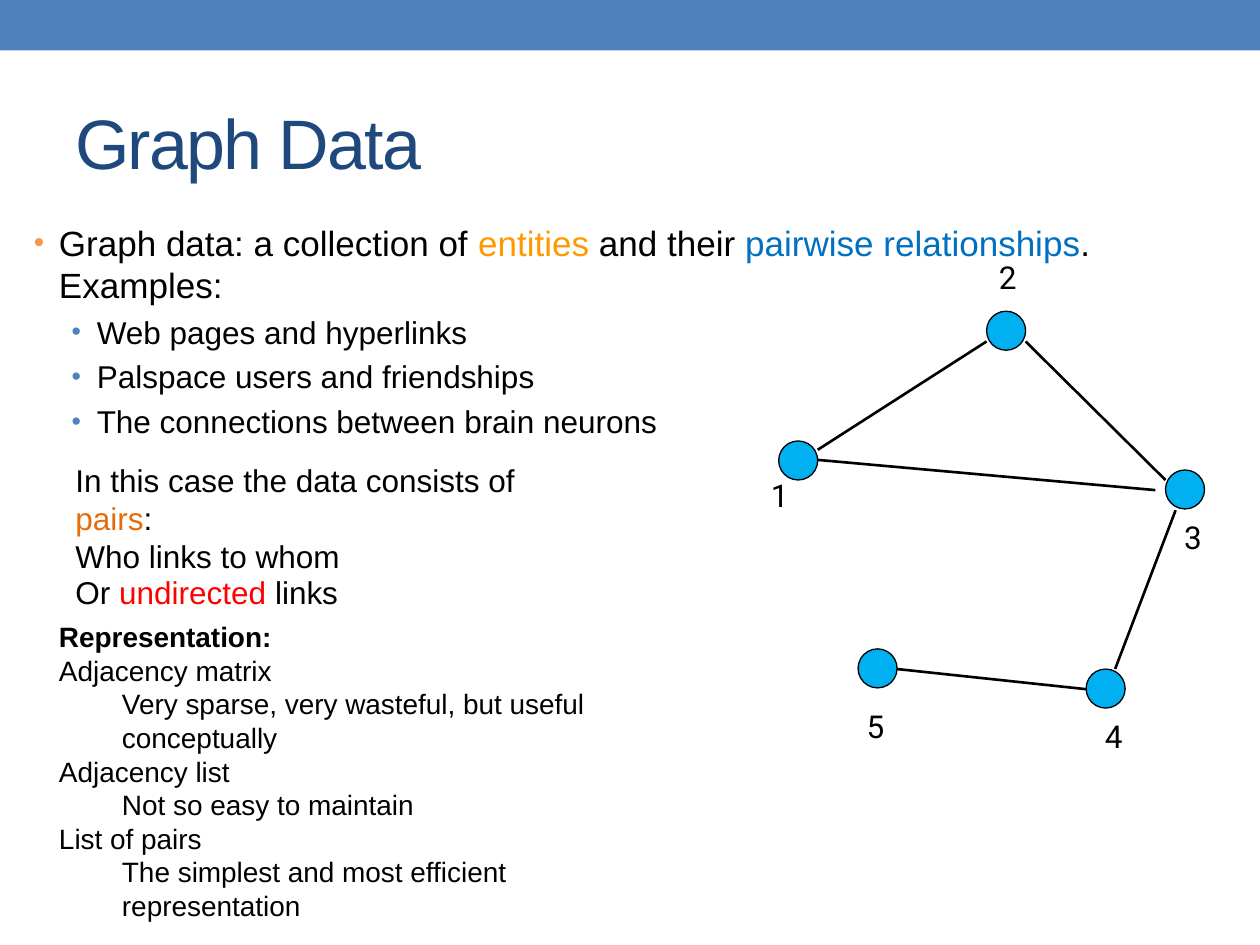
import pptx
import pptx.util
import pptx.dml.color
import pptx.enum.shapes
import pptx.enum.text
import lxml.etree

Inches = pptx.util.Inches
Pt = pptx.util.Pt
BLACK = "000000"


def color(value):
    return pptx.dml.color.RGBColor.from_string(value)


def add_text(shapes, box, wrap=True):
    frame = shapes.add_textbox(*map(Inches, box)).text_frame
    frame.word_wrap = wrap
    return frame


def write(paragraph, pieces, size, font="Arial", bold=False):
    for text, value in pieces:
        run = paragraph.add_run()
        run.text = text
        run.font.name = font
        run.font.size = Pt(size)
        run.font.bold = bold
        run.font.color.rgb = color(value)


def next_paragraph(frame, first):
    return frame.paragraphs[0] if first else frame.add_paragraph()


def set_indent(paragraph, margin, hanging=0):
    properties = paragraph._p.get_or_add_pPr()
    properties.set("marL", str(Inches(margin)))
    properties.set("indent", str(-Inches(hanging)))
    return properties


def add_bullet(paragraph, margin, value):
    properties = set_indent(paragraph, margin, 0.2)
    tag = "{http://schemas.openxmlformats.org/drawingml/2006/main}"
    bullet_color = lxml.etree.SubElement(properties, tag + "buClr")
    lxml.etree.SubElement(bullet_color, tag + "srgbClr", val=value)
    lxml.etree.SubElement(properties, tag + "buSzPct", val="85000")
    lxml.etree.SubElement(properties, tag + "buFont", typeface="Arial")
    lxml.etree.SubElement(properties, tag + "buChar", char="•")


def add_band(shapes, box):
    band = shapes.add_shape(pptx.enum.shapes.MSO_SHAPE.RECTANGLE, *map(Inches, box))
    band.shadow.inherit = False
    band.fill.solid()
    band.fill.fore_color.rgb = color("4F81BD")
    band.line.fill.background()


def add_title(shapes, box):
    frame = add_text(shapes, box)
    frame.vertical_anchor = pptx.enum.text.MSO_ANCHOR.MIDDLE
    title = frame.paragraphs[0]
    write(title, [("Graph Data", "1F497D")], 40)
    title.runs[0]._r.get_or_add_rPr().set("spc", "-100")


def add_definition(shapes, box):
    frame = add_text(shapes, box)
    definition = frame.paragraphs[0]
    add_bullet(definition, 0.2, "F79646")
    write(definition, [
        ("Graph data: a collection of ", BLACK),
        ("entities", "FF9900"),
        (" and their ", BLACK),
        ("pairwise relationships", "0070C0"),
        (". Examples:", BLACK),
    ], 20)
    for text in ("Web pages and hyperlinks", "Palspace users and friendships",
                 "The connections between brain neurons"):
        example = frame.add_paragraph()
        example.level = 1
        example.space_before = Pt(4)
        add_bullet(example, 0.5, "4F81BD")
        write(example, [(text, BLACK)], 18)


def add_pairs(shapes, box):
    left, top, width, height = box
    frame = add_text(shapes, box)
    write(frame.paragraphs[0], [
        ("In this case the data consists of ", BLACK), ("pairs", "E46C0A"), (":", BLACK),
    ], 18)
    write(frame.add_paragraph(), [("Who links to whom", BLACK)], 18)
    links = add_text(shapes, (left, top + 0.89, 2.31, 0.4), wrap=False)
    write(links.paragraphs[0], [
        ("Or ", BLACK), ("undirected ", "FF0000"), ("links", BLACK),
    ], 18)


def add_representation(shapes, box):
    frame = add_text(shapes, box)
    write(frame.paragraphs[0], [("Representation:", BLACK)], 16, bold=True)
    for name, remark in (
        ("Adjacency matrix", "Very sparse, very wasteful, but useful conceptually"),
        ("Adjacency list", "Not so easy to maintain"),
        ("List of pairs", "The simplest and most efficient representation"),
    ):
        write(frame.add_paragraph(), [(name, BLACK)], 16)
        detail = frame.add_paragraph()
        detail.level = 1
        set_indent(detail, 0.5)
        write(detail, [(remark, BLACK)], 16)


def add_graph(shapes, left, top):
    graph = shapes.add_group_shape().shapes
    diameter = 0.31
    nodes = [
        ("1", (0.18, 1.5), (0.02, 1.73)),
        ("2", (1.83, 0.47), (1.83, 0)),
        ("3", (3.25, 1.73), (3.3, 2.06)),
        ("4", (2.62, 3.31), (2.67, 3.64)),
        ("5", (0.81, 3.15), (0.78, 3.56)),
    ]
    edges = [
        ((0.49, 1.57), (1.83, 0.71)),
        ((2.14, 0.71), (3.25, 1.81)),
        ((0.49, 1.65), (3.17, 1.89)),
        ((2.85, 3.31), (3.33, 2.05)),
        ((1.12, 3.31), (2.62, 3.47)),
    ]
    for number, (x, y), (label_x, label_y) in nodes:
        node = graph.add_shape(
            pptx.enum.shapes.MSO_SHAPE.OVAL, Inches(left + x), Inches(top + y),
            Inches(diameter), Inches(diameter))
        node.shadow.inherit = False
        node.fill.solid()
        node.fill.fore_color.rgb = color("00B0F0")
        node.line.color.rgb = color(BLACK)
        node.line.width = Pt(0.75)
        label = add_text(graph, (left + label_x, top + label_y, 0.34, 0.4), wrap=False)
        write(label.paragraphs[0], [(number, BLACK)], 18, "Roboto")
    for (x1, y1), (x2, y2) in edges:
        edge = graph.add_connector(
            pptx.enum.shapes.MSO_CONNECTOR.STRAIGHT, Inches(left + x1), Inches(top + y1),
            Inches(left + x2), Inches(top + y2))
        edge.line.color.rgb = color(BLACK)
        edge.line.width = Pt(1.5)
        lxml.etree.SubElement(
            edge._element.spPr,
            "{http://schemas.openxmlformats.org/drawingml/2006/main}effectLst")


def main():
    presentation = pptx.Presentation()
    presentation.slide_width = Inches(10)
    presentation.slide_height = Inches(7.5)
    shapes = presentation.slides.add_slide(presentation.slide_layouts[6]).shapes
    add_band(shapes, (0, 0, 10, 0.4))
    add_title(shapes, (0.5, 0.58, 9, 1.08))
    add_definition(shapes, (0.17, 1.71, 9, 2.84))
    add_pairs(shapes, (0.5, 3.61, 4.17, 1.01))
    add_graph(shapes, 6, 2)
    add_representation(shapes, (0.37, 4.87, 5, 2.83))
    presentation.save("out.pptx")


if __name__ == "__main__":
    main()
